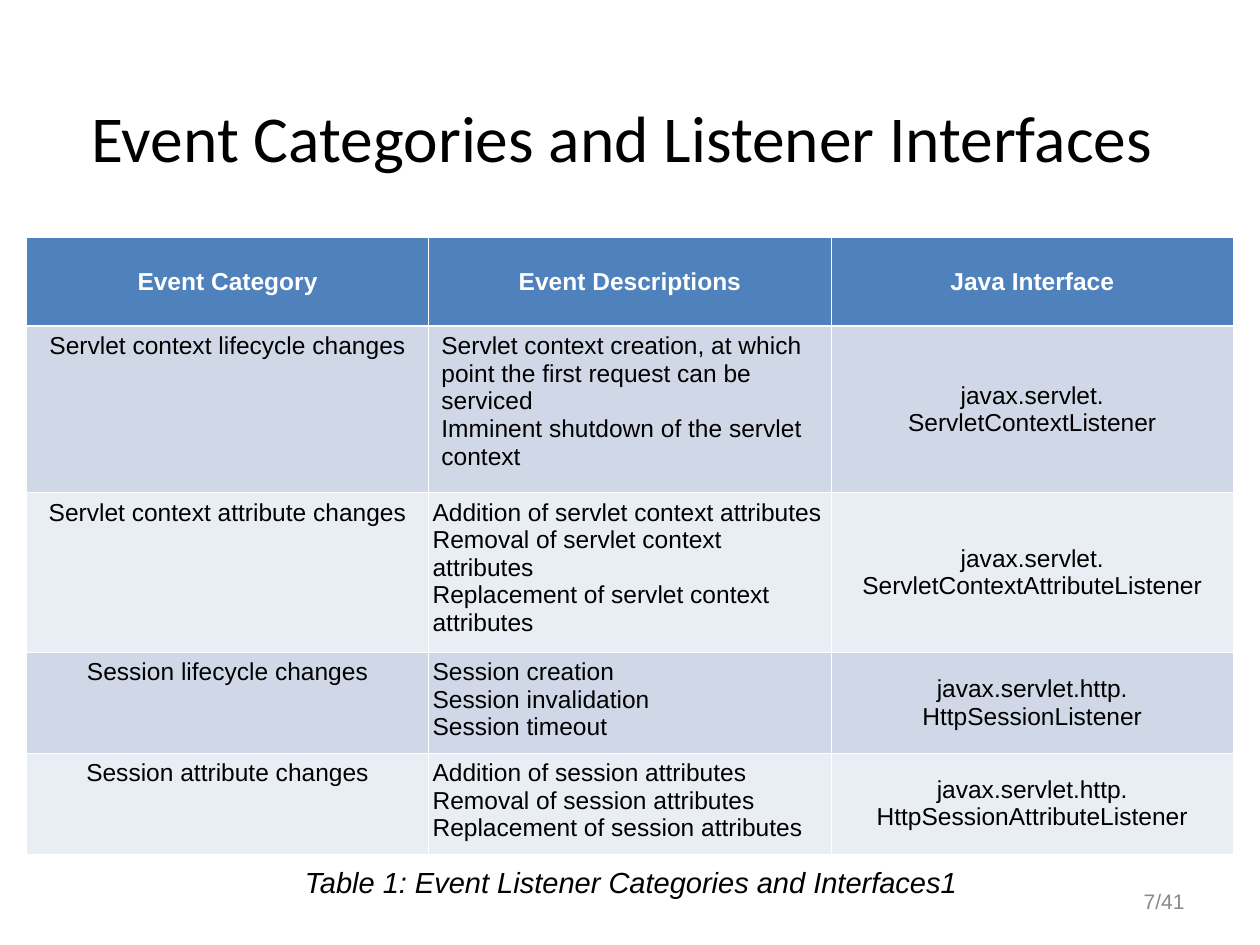
from dataclasses import dataclass

from lxml import etree
from pptx import Presentation
from pptx.dml.color import RGBColor
from pptx.enum import text
from pptx.oxml import ns
from pptx.util import Inches, Pt

BLACK = RGBColor(0x00, 0x00, 0x00)
WHITE = RGBColor(0xFF, 0xFF, 0xFF)
GRAY = RGBColor(0x89, 0x89, 0x89)
HEADER = RGBColor(0x4F, 0x81, 0xBD)
BANDS = (RGBColor(0xD0, 0xD8, 0xE8), RGBColor(0xE9, 0xED, 0xF4))
LEFT, CENTER, RIGHT = text.PP_ALIGN.LEFT, text.PP_ALIGN.CENTER, text.PP_ALIGN.RIGHT
TOP, MIDDLE = text.MSO_ANCHOR.TOP, text.MSO_ANCHOR.MIDDLE
THIN, THICK = 0.45, 1.47


@dataclass
class Label:
    wording: str
    left: float
    top: float
    width: float
    height: float
    size: float
    font: str = "Arial"
    color: RGBColor = BLACK
    align: text.PP_ALIGN = CENTER
    spacing: float = 0.9
    italic: bool = False


@dataclass
class EventRow:
    category: str
    descriptions: tuple[str, ...]
    interface: str
    height: float
    margin: float = 0.03


LABELS = [
    Label("Table 1: Event Listener Categories and Interfaces1",
          1.13, 6.82, 7.75, 0.4, 16.6, italic=True),
    Label("7/41", 7.17, 6.95, 2.33, 0.4, 12, color=GRAY, align=RIGHT, spacing=1.0),
    Label("Event Categories and Listener Interfaces ",
          0.5, 0.5, 9, 1.25, 37.4, font="Calibri"),
]
HEADINGS = ("Event Category", "Event Descriptions", "Java Interface")
HEADER_HEIGHT = 0.71
ROWS = [
    EventRow("Servlet context lifecycle changes",
             ("Servlet context creation, at which point the first request can be serviced",
              "Imminent shutdown of the servlet context"),
             "javax.servlet. ServletContextListener", 1.32, margin=0.1),
    EventRow("Servlet context attribute changes",
             ("Addition of servlet context attributes",
              "Removal of servlet context attributes",
              "Replacement of servlet context attributes"),
             "javax.servlet. ServletContextAttributeListener", 1.24),
    EventRow("Session lifecycle changes",
             ("Session creation", "Session invalidation", "Session timeout"),
             "javax.servlet.http. HttpSessionListener", 0.77),
    EventRow("Session attribute changes",
             ("Addition of session attributes",
              "Removal of session attributes",
              "Replacement of session attributes"),
             "javax.servlet.http. HttpSessionAttributeListener", 0.77),
]


def add_label(s, label: Label) -> None:
    sp = s.shapes.add_textbox(Inches(label.left), Inches(label.top),
                              Inches(label.width), Inches(label.height))
    tf = sp.text_frame
    tf.word_wrap = True
    tf.vertical_anchor = MIDDLE
    p = tf.paragraphs[0]
    p.text = label.wording
    p.alignment = label.align
    p.line_spacing = label.spacing
    p.font.name = label.font
    p.font.size = Pt(label.size)
    p.font.italic = label.italic
    p.font.color.rgb = label.color


def add_borders(cell, top: float, bottom: float) -> None:
    tc_pr = cell._tc.get_or_add_tcPr()
    widths = {"a:lnL": THIN, "a:lnR": THIN, "a:lnT": top, "a:lnB": bottom}
    for i, (tag, width) in enumerate(widths.items()):
        ln = etree.Element(ns.qn(tag), w=str(Pt(width)))
        fill = etree.SubElement(ln, ns.qn("a:solidFill"))
        etree.SubElement(fill, ns.qn("a:srgbClr"), val=str(WHITE))
        tc_pr.insert(i, ln)


def fill_cell(cell, lines: tuple[str, ...], fill: RGBColor, align: text.PP_ALIGN = CENTER,
              anchor: text.MSO_ANCHOR = MIDDLE, margin: float = 0.03,
              color: RGBColor = BLACK, bold: bool = False,
              top: float = THIN, bottom: float = THIN) -> None:
    cell.fill.solid()
    cell.fill.fore_color.rgb = fill
    cell.vertical_anchor = anchor
    cell.margin_left = cell.margin_right = Inches(margin)
    cell.margin_top = cell.margin_bottom = Inches(0.05)
    tf = cell.text_frame
    tf.text = "\n".join(lines)
    for p in tf.paragraphs:
        p.alignment = align
        p.font.name = "Arial"
        p.font.size = Pt(14)
        p.font.bold = bold
        p.font.color.rgb = color
    add_borders(cell, top, bottom)


def add_event_table(s) -> None:
    heights = [HEADER_HEIGHT] + [row.height for row in ROWS]
    table = s.shapes.add_table(len(heights), len(HEADINGS), Inches(0.21), Inches(1.88),
                               Inches(9.58), Inches(sum(heights))).table
    for row, height in zip(table.rows, heights):
        row.height = Inches(height)
    for col, heading in enumerate(HEADINGS):
        fill_cell(table.cell(0, col), (heading,), HEADER,
                  color=WHITE, bold=True, bottom=THICK)
    for i, row in enumerate(ROWS):
        fill = BANDS[i % 2]
        top = THICK if i == 0 else THIN
        category, descriptions, interface = table.rows[i + 1].cells
        fill_cell(category, (row.category,), fill, anchor=TOP, margin=row.margin, top=top)
        fill_cell(descriptions, row.descriptions, fill, LEFT, TOP, row.margin, top=top)
        fill_cell(interface, (row.interface,), fill, top=top)


def main() -> None:
    prs = Presentation()
    prs.slide_width, prs.slide_height = Inches(10), Inches(7.5)
    s = prs.slides.add_slide(prs.slide_layouts[6])
    for label in LABELS:
        add_label(s, label)
    add_event_table(s)
    prs.save("out.pptx")


if __name__ == "__main__":
    main()
